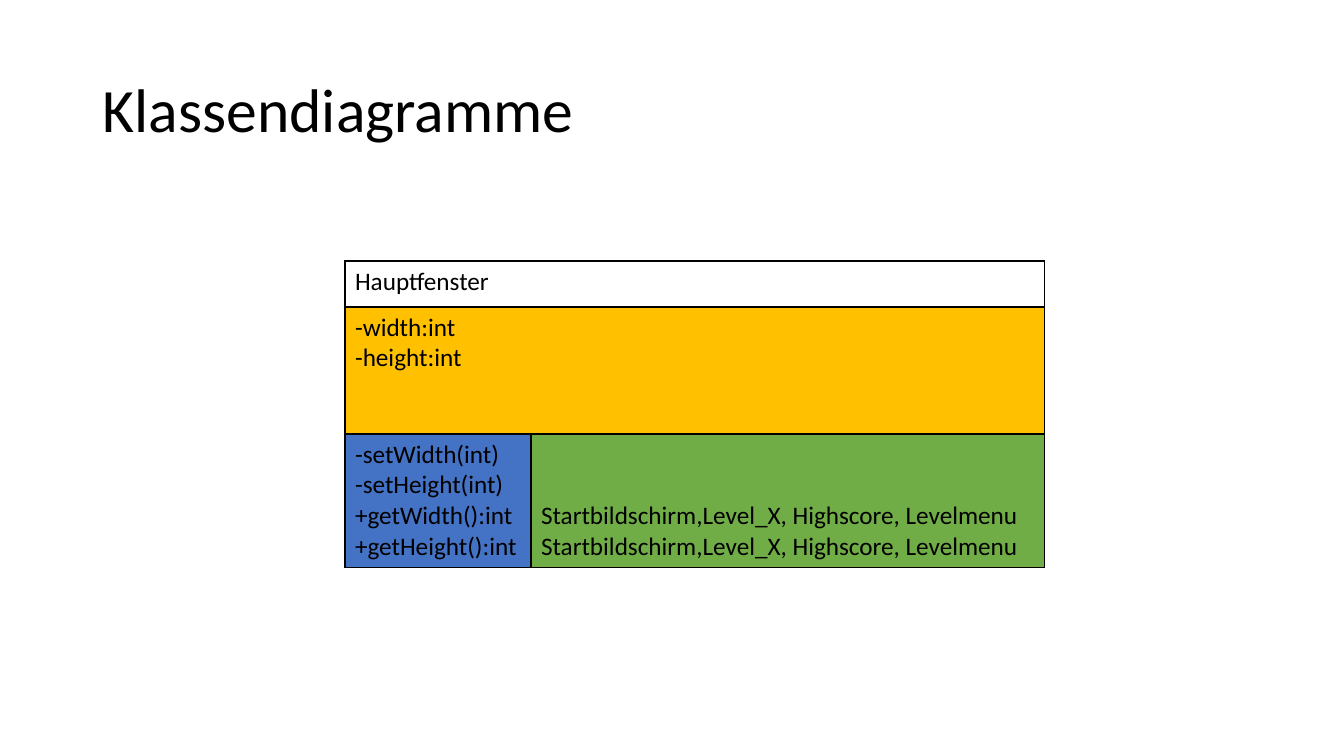
import pptx
import pptx.util
import pptx.dml.color
import pptx.enum.text
import pptx.oxml.ns
import lxml.etree

RGBColor = pptx.dml.color.RGBColor
Anchor = pptx.enum.text.MSO_ANCHOR

BLACK = RGBColor(0x00, 0x00, 0x00)
GOLD = RGBColor(0xFF, 0xC0, 0x00)
BLUE = RGBColor(0x44, 0x72, 0xC4)
GREEN = RGBColor(0x70, 0xAD, 0x47)
FONT = "Calibri"

TITLE = "Klassendiagramme"
CALLERS = "Startbildschirm,Level_X, Highscore, Levelmenu"
# Each row lists its cells as (lines, fill, anchor); a single cell spans the row.
CLASS_ROWS = [
    [(["Hauptfenster"], None, Anchor.TOP)],
    [(["-width:int", "-height:int"], GOLD, Anchor.TOP)],
    [
        (["-setWidth(int)", "-setHeight(int)", "+getWidth():int", "+getHeight():int"],
         BLUE, Anchor.TOP),
        ([CALLERS, CALLERS], GREEN, Anchor.BOTTOM),
    ],
]

SLIDE_SIZE = (1344, 756)
TITLE_BOX = (93, 40, 1159, 146)
CLASS_ORIGIN = (345, 261)
COLUMN_WIDTHS = [186, 514]
ROW_HEIGHTS = [46, 127, 133]


def px(length):
    return pptx.util.Emu(round(length * 914400 / 100.8))


def format_text(frame, size):
    for paragraph in frame.paragraphs:
        for run in paragraph.runs:
            run.font.size = pptx.util.Pt(size)
            run.font.name = FONT
            run.font.color.rgb = BLACK


def add_borders(cell):
    properties = cell._tc.get_or_add_tcPr()
    qn = pptx.oxml.ns.qn
    for side in ("a:lnL", "a:lnR", "a:lnT", "a:lnB"):
        line = lxml.etree.SubElement(properties, qn(side), w=str(pptx.util.Pt(1)))
        fill = lxml.etree.SubElement(line, qn("a:solidFill"))
        lxml.etree.SubElement(fill, qn("a:srgbClr"), val=str(BLACK))


def add_title(slide):
    frame = slide.shapes.add_textbox(*map(px, TITLE_BOX)).text_frame
    frame.word_wrap = True
    frame.vertical_anchor = Anchor.MIDDLE
    frame.text = TITLE
    frame.paragraphs[0].line_spacing = 0.9
    format_text(frame, 44)


def add_class_diagram(slide):
    size = (sum(COLUMN_WIDTHS), sum(ROW_HEIGHTS))
    diagram = slide.shapes.add_table(
        len(ROW_HEIGHTS), len(COLUMN_WIDTHS), *map(px, CLASS_ORIGIN + size)).table
    diagram.first_row = False
    diagram.horz_banding = False
    for column, width in zip(diagram.columns, COLUMN_WIDTHS):
        column.width = px(width)
    for row, height in zip(diagram.rows, ROW_HEIGHTS):
        row.height = px(height)
    for cell in diagram.iter_cells():
        add_borders(cell)
        cell.fill.background()

    for r, sections in enumerate(CLASS_ROWS):
        if len(sections) == 1:
            diagram.cell(r, 0).merge(diagram.cell(r, len(COLUMN_WIDTHS) - 1))
        for c, (lines, fill, anchor) in enumerate(sections):
            cell = diagram.cell(r, c)
            cell.text_frame.text = "\n".join(lines)
            cell.vertical_anchor = anchor
            format_text(cell.text_frame, 18)
            if fill is not None:
                cell.fill.solid()
                cell.fill.fore_color.rgb = fill


def main():
    deck = pptx.Presentation()
    deck.slide_width, deck.slide_height = map(px, SLIDE_SIZE)
    slide = deck.slides.add_slide(deck.slide_layouts[6])
    add_class_diagram(slide)
    add_title(slide)
    deck.save("out.pptx")


if __name__ == "__main__":
    main()
